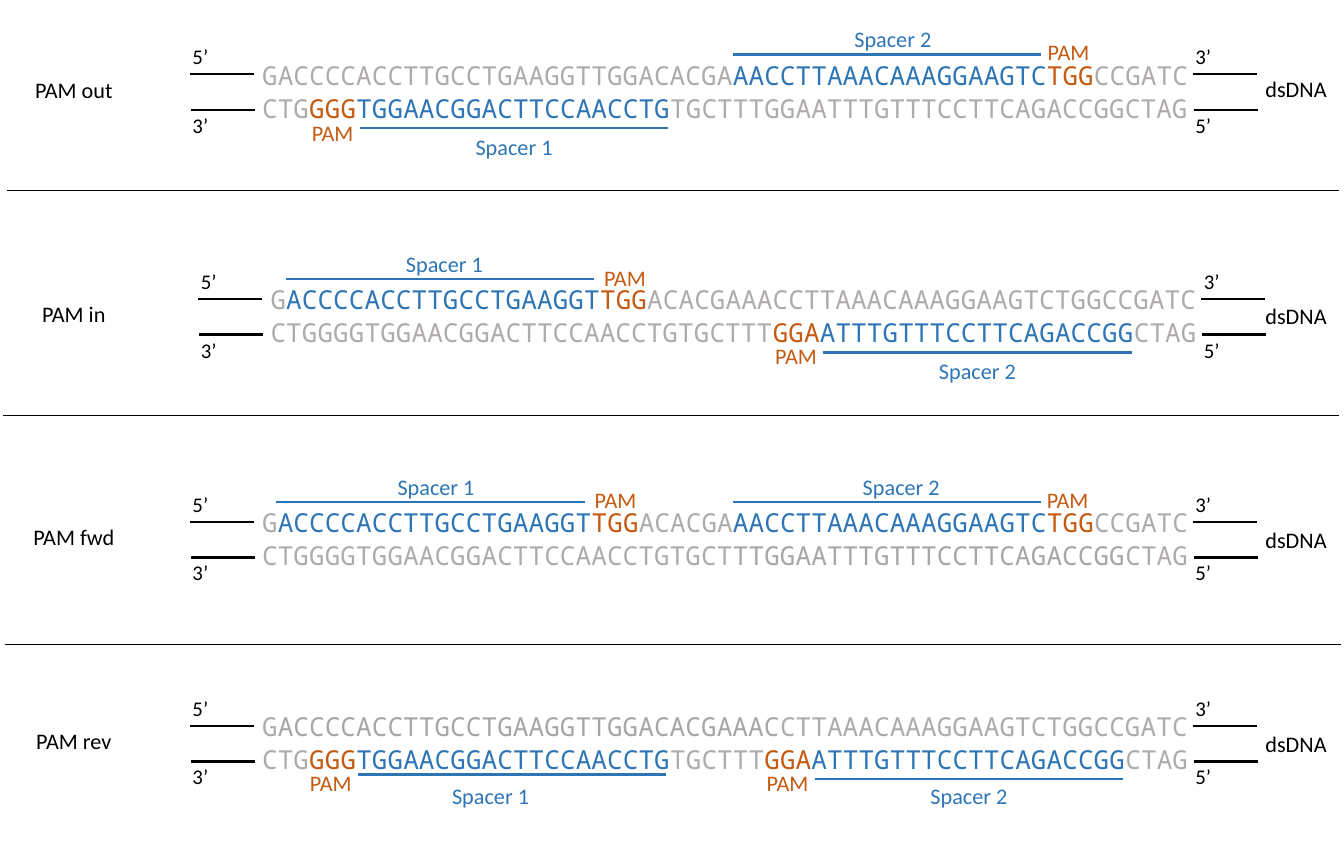
from dataclasses import dataclass

from lxml.etree import SubElement
from pptx import Presentation
from pptx.dml.color import RGBColor
from pptx.enum.shapes import MSO_CONNECTOR
from pptx.enum.text import MSO_AUTO_SIZE, PP_ALIGN
from pptx.oxml.ns import qn
from pptx.slide import Slide
from pptx.util import Inches, Pt

COLORS = {
    "black": "000000",
    "base": "AFABAB",
    "shade": "A6A6A6",
    "spacer": "2E75B6",
    "pam": "C55A11",
}
LABEL_FONT = "Calibri"
SEQUENCE_FONT = "Noto Sans Mono"
FORWARD = "GACCCCACCTTGCCTGAAGGTTGGACACGAAACCTTAAACAAAGGAAGTCTGGCCGATC"
REVERSE = "CTGGGGTGGAACGGACTTCCAACCTGTGCTTTGGAATTTGTTTCCTTCAGACCGGCTAG"
SPACER_WIDTH = 3.28


@dataclass(frozen=True)
class Region:
    """Bases from start up to end, in one colour."""
    start: int
    end: int
    color: str


@dataclass(frozen=True)
class Mark:
    """Spacer bar with its name and the PAM label beside it."""
    name: str
    bar: tuple[float, float]
    name_at: tuple[float, float]
    pam_at: tuple[float, float]


@dataclass(frozen=True)
class Panel:
    name: str
    left: float
    top: float
    dsdna_top: float
    forward: list[Region]
    reverse: list[Region]
    marks: list[Mark]


FORWARD_1 = [Region(1, 21, "spacer"), Region(21, 24, "pam")]
FORWARD_2 = [Region(30, 50, "spacer"), Region(50, 53, "pam")]
REVERSE_1 = [Region(3, 6, "pam"), Region(6, 26, "spacer")]
REVERSE_2 = [Region(32, 35, "pam"), Region(35, 55, "spacer")]

PANELS = [
    Panel("PAM out", 2.69, 0.79, 0.75, FORWARD_2, REVERSE_1, [
        Mark("Spacer 1", (3.83, 1.36), (4.64, 1.37), (2.71, 1.22)),
        Mark("Spacer 2", (7.8, 0.58), (8.67, 0.22), (10.54, 0.36)),
    ]),
    Panel("PAM in", 2.78, 3.18, 3.17, FORWARD_1, REVERSE_2, [
        Mark("Spacer 1", (3.04, 2.97), (3.9, 2.61), (5.82, 2.76)),
        Mark("Spacer 2", (8.76, 3.75), (9.57, 3.75), (7.64, 3.59)),
    ]),
    Panel("PAM fwd", 2.69, 5.55, 5.55, FORWARD_1 + FORWARD_2, [Region(30, 55, "shade")], [
        Mark("Spacer 1", (2.94, 5.34), (3.81, 4.99), (5.72, 5.12)),
        Mark("Spacer 2", (7.8, 5.34), (8.76, 4.99), (10.53, 5.12)),
    ]),
    Panel("PAM rev", 2.69, 7.72, 7.72, [Region(1, 33, "shade")], REVERSE_1 + REVERSE_2, [
        Mark("Spacer 1", (3.81, 8.24), (4.39, 8.27), (2.69, 8.13)),
        Mark("Spacer 2", (8.67, 8.29), (9.48, 8.27), (7.55, 8.13)),
    ]),
]
DIVIDERS = [(0.07, 2.02, 14.25), (0.03, 4.42, 14.25), (0.05, 6.85, 14.27)]


def rgb(color: str) -> RGBColor:
    return RGBColor.from_string(COLORS[color])


def add_box(page: Slide, left: float, top: float, width: float, height: float):
    """Add a wrapping text box and return its first paragraph."""
    box = page.shapes.add_textbox(Inches(left), Inches(top), Inches(width), Inches(height))
    box.text_frame.word_wrap = True
    box.text_frame.auto_size = MSO_AUTO_SIZE.SHAPE_TO_FIT_TEXT
    return box.text_frame.paragraphs[0]


def add_label(page: Slide, text: str, left: float, top: float, width: float = 1.66,
              color: str = "black") -> None:
    para = add_box(page, left, top, width, 0.39)
    para.text = text
    para.alignment = PP_ALIGN.CENTER
    para.font.name, para.font.size = LABEL_FONT, Pt(17)
    para.font.color.rgb = rgb(color)


def add_end_label(page: Slide, text: str, left: float, top: float) -> None:
    para = add_box(page, left, top, 0.4, 0.37)
    para.text = text
    para.font.name, para.font.size = LABEL_FONT, Pt(16)
    para.font.color.rgb = rgb("black")


def add_line(page: Slide, left: float, top: float, right: float,
             color: str = "black", weight: float = 1.75) -> None:
    line = page.shapes.add_connector(
        MSO_CONNECTOR.STRAIGHT, Inches(left), Inches(top), Inches(right), Inches(top))
    line.line.color.rgb = rgb(color)
    line.line.width = Pt(weight)
    SubElement(line._element.spPr, qn("a:effectLst"))


def add_strand(page: Slide, sequence: str, regions: list[Region], left: float, top: float) -> None:
    """Write a sequence, with the bases between the regions in the base colour."""
    para = add_box(page, left, top, 12.49, 0.44)
    para.font.name, para.font.size = SEQUENCE_FONT, Pt(20)
    pieces, position = [], 0
    for region in regions:
        pieces.append((sequence[position:region.start], "base"))
        pieces.append((sequence[region.start:region.end], region.color))
        position = region.end
    pieces.append((sequence[position:], "base"))
    for text, color in pieces:
        if text:
            span = para.add_run()
            span.text = text
            span.font.color.rgb = rgb(color)


def add_panel(page: Slide, panel: Panel) -> None:
    left, top = panel.left, panel.top
    add_strand(page, REVERSE, panel.reverse, left, top + 0.14)
    add_strand(page, FORWARD, panel.forward, left, top - 0.21)
    add_label(page, panel.name, -0.31, top - 0.03, 2.19)
    add_label(page, "dsDNA", 13.2, panel.dsdna_top, 1.18)
    for start, upper, lower in ((left - 0.67, "5’", "3’"), (left + 10, "3’", "5’")):
        add_line(page, start, top, start + 0.68)
        add_line(page, start + 0.01, top + 0.38, start + 0.69)
        add_end_label(page, upper, start - 0.07, top - 0.37)
        add_end_label(page, lower, start - 0.07, top + 0.36)
    for mark in panel.marks:
        bar_left, bar_top = mark.bar
        add_line(page, bar_left, bar_top, bar_left + SPACER_WIDTH, "spacer")
        add_label(page, mark.name, *mark.name_at, color="spacer")
        add_label(page, "PAM", *mark.pam_at, color="pam")


def main() -> None:
    deck = Presentation()
    deck.slide_width, deck.slide_height = Inches(14.3), Inches(9)
    page = deck.slides.add_slide(deck.slide_layouts[6])
    for panel in PANELS:
        add_panel(page, panel)
    for left, top, right in DIVIDERS:
        add_line(page, left, top, right, weight=0.5)
    deck.save("out.pptx")


if __name__ == "__main__":
    main()
